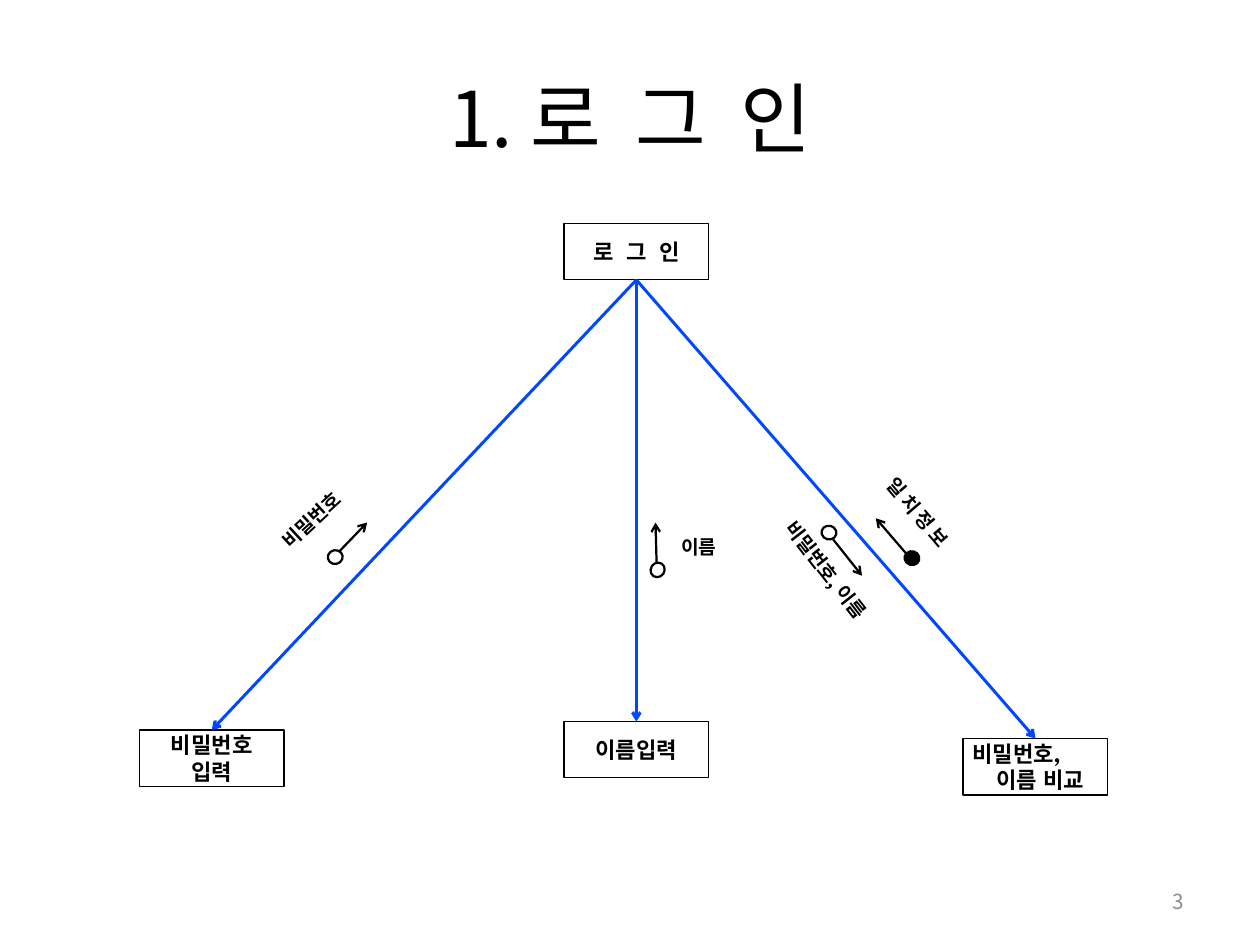
from pptx import Presentation
from pptx.dml.color import RGBColor
from pptx.enum.shapes import MSO_CONNECTOR, MSO_SHAPE
from pptx.enum.text import MSO_ANCHOR, MSO_AUTO_SIZE, PP_ALIGN
from pptx.oxml.ns import qn
from pptx.util import Inches, Pt
from lxml.etree import SubElement

# Content
SANS, SERIF = "Noto Sans CJK KR", "TeX Gyre Schola"
BLACK, WHITE, BLUE, GRAY = "000000", "FFFFFF", "0047FF", "8C8C8C"
TITLE = "1. 로  그  인"
PAGE_NUMBER = "3"
ROOT_MODULE = ("로  그  인", 5.3, 2.1)
CHILD_MODULES = [  # text, left, top
    ("비밀번호\n입력", 1.31, 6.86),
    ("이름입력", 5.3, 6.78),
    ("비밀번호,\v이름 비교", 9.05, 6.94),
]
MODULE_SIZE = (1.36, 0.53)
HANGING_INDENT = 0.22
FLOW_LABELS = [  # text, left, top, width, rotation
    ("비밀번호", 2.48, 4.67, 1.03, 317.3),
    ("이름", 6.31, 4.99, 0.63, 0),
    ("비밀번호, 이름", 7.04, 5.37, 1.7, 52),
    ("일 치 정 보", 8.08, 4.79, 1.3, 49.7),
]
FLOW_ARROWS = [  # circle left and top, rotation, fill, arrow start, arrow end
    (3.08, 5.17, 349.3, None, (3.19, 5.18), (3.45, 4.91)),
    (6.11, 5.29, 303.8, None, (6.17, 5.28), (6.16, 4.91)),
    (7.72, 4.94, 14.2, None, (7.83, 5.07), (8.1, 5.41)),
    (8.5, 5.18, 16.3, BLACK, (8.6, 5.3), (8.23, 4.87)),
]
CIRCLE_SIZE = (0.14, 0.13)


def color(value):
    return RGBColor.from_string(value)


def inches(*values):
    return [Inches(value) for value in values]


def write(shape, text, size, font=SANS, fill=BLACK, bold=False,
          align=PP_ALIGN.LEFT, anchor=MSO_ANCHOR.TOP, insets=(0.09, 0.04)):
    frame = shape.text_frame
    frame.text = text
    side, edge = inches(*insets)
    frame_format = dict(word_wrap=True, auto_size=MSO_AUTO_SIZE.NONE,
                        vertical_anchor=anchor, margin_left=side,
                        margin_right=side, margin_top=edge, margin_bottom=edge)
    for name, value in frame_format.items():
        setattr(frame, name, value)
    for paragraph in frame.paragraphs:
        paragraph.alignment = align
        for run in paragraph.runs:
            for name, value in dict(size=Pt(size), name=font, bold=bold).items():
                setattr(run.font, name, value)
            run.font.color.rgb = color(fill)
            # Korean letters take the East Asian font
            SubElement(run.font._element, qn("a:ea"), typeface=font)


def add_outlined(kind, left, top, size, fill, line_width):
    shape = slide.shapes.add_shape(kind, *inches(left, top, *size))
    shape.shadow.inherit = False
    if fill:
        shape.fill.solid()
        shape.fill.fore_color.rgb = color(fill)
    else:
        shape.fill.background()
    shape.line.color.rgb = color(BLACK)
    shape.line.width = Pt(line_width)
    return shape


def add_module(text, left, top):
    module = add_outlined(MSO_SHAPE.RECTANGLE, left, top, MODULE_SIZE, WHITE, 0.9)
    hanging = "\v" in text
    write(module, text, 15, SERIF, bold=True, anchor=MSO_ANCHOR.MIDDLE,
          align=PP_ALIGN.LEFT if hanging else PP_ALIGN.CENTER)
    if hanging:
        properties = module.text_frame.paragraphs[0]._p.get_or_add_pPr()
        properties.set("marL", str(Inches(HANGING_INDENT)))
        properties.set("indent", str(-Inches(HANGING_INDENT)))
    return module


def add_arrow(start, end, line_color, width):
    arrow = slide.shapes.add_connector(MSO_CONNECTOR.STRAIGHT, *inches(*start, *end))
    arrow.line.color.rgb = color(line_color)
    arrow.line.width = Pt(width)
    SubElement(arrow.line._get_or_add_ln(), qn("a:tailEnd"), type="arrow")
    SubElement(arrow._element.spPr, qn("a:effectLst"))
    return arrow


presentation = Presentation()
presentation.slide_width, presentation.slide_height = inches(11.84, 8.88)
slide = presentation.slides.add_slide(presentation.slide_layouts[5])

# Title
title = slide.shapes.title
title.left, title.top, title.width, title.height = inches(0.59, 0.36, 10.66, 1.48)
write(title, TITLE, 52, align=PP_ALIGN.CENTER, anchor=MSO_ANCHOR.MIDDLE,
      insets=(0.12, 0.06))

# Modules and the calls from the root to each child
root = add_module(*ROOT_MODULE)
for content in CHILD_MODULES:
    child = add_module(*content)
    call = add_arrow((0, 0), (1, 1), BLUE, 2)
    call.begin_connect(root, 2)
    call.end_connect(child, 0)

# Data flows: labels, then circles with arrows
for text, left, top, width, rotation in FLOW_LABELS:
    label = slide.shapes.add_textbox(*inches(left, top, width, 0.31))
    label.rotation = rotation
    write(label, text, 13, bold=True)

for left, top, rotation, fill, start, end in FLOW_ARROWS:
    circle = add_outlined(MSO_SHAPE.FLOWCHART_CONNECTOR, left, top,
                          CIRCLE_SIZE, fill, 1.5)
    circle.rotation = rotation
    add_arrow(start, end, BLACK, 1.5)

# Page number
number = slide.shapes.add_textbox(*inches(8.49, 8.23, 2.76, 0.47))
write(number, PAGE_NUMBER, 14, fill=GRAY, align=PP_ALIGN.RIGHT,
      anchor=MSO_ANCHOR.MIDDLE, insets=(0.12, 0.06))

presentation.save("out.pptx")
